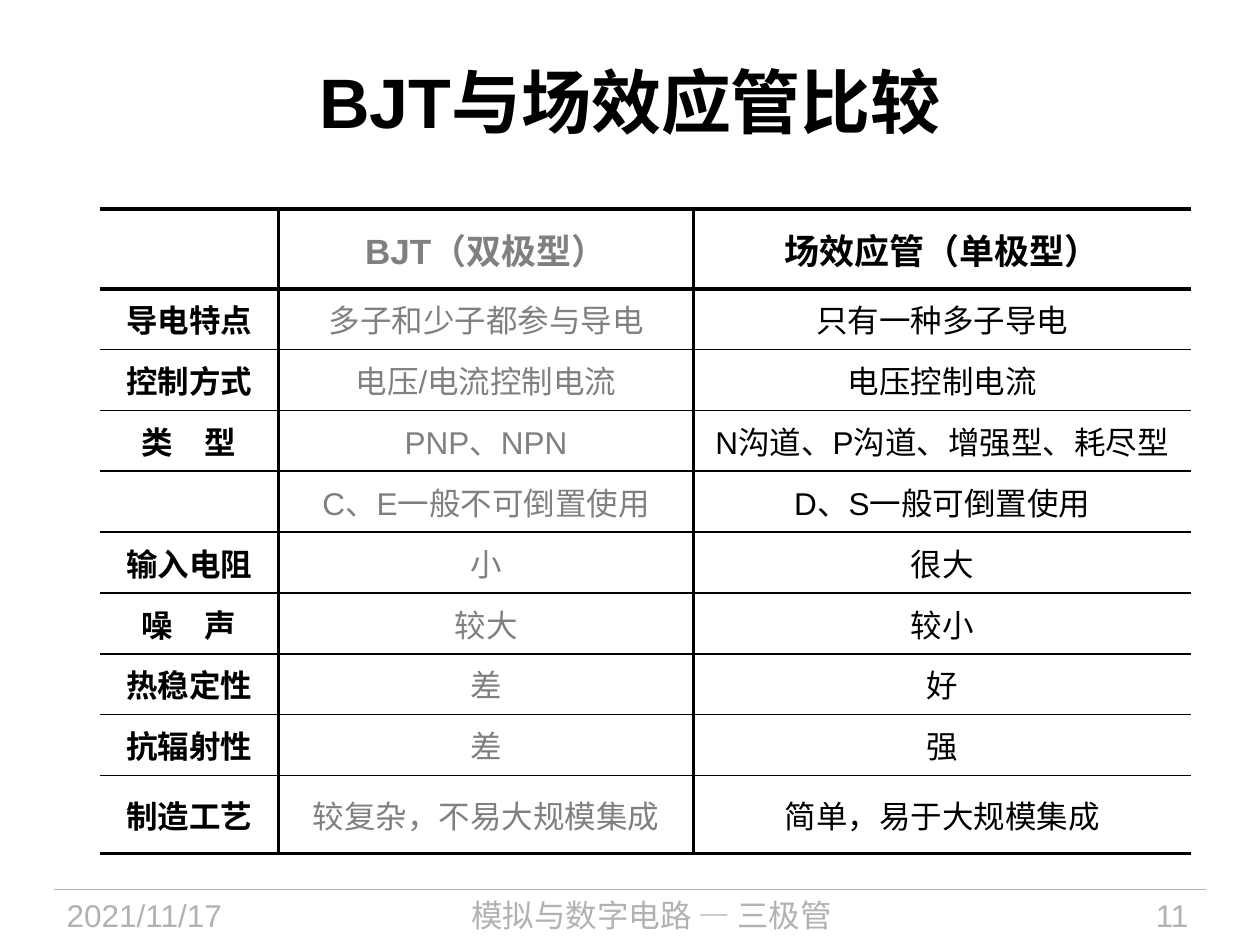
from lxml import etree
from pptx import Presentation
from pptx.dml.color import RGBColor
from pptx.enum import shapes, text
from pptx.oxml.ns import qn
from pptx.util import Pt

BLACK = RGBColor(0x00, 0x00, 0x00)
GRAY = RGBColor(0x80, 0x80, 0x80)
PALE = RGBColor(0xB2, 0xB2, 0xB2)
LEFT, MID, RIGHT = text.PP_ALIGN.LEFT, text.PP_ALIGN.CENTER, text.PP_ALIGN.RIGHT
TOP, CENTER = text.MSO_ANCHOR.TOP, text.MSO_ANCHOR.MIDDLE

TITLE = "BJT与场效应管比较"
ROWS = [
    ("", "BJT（双极型）", "场效应管（单极型）"),
    ("导电特点", "多子和少子都参与导电", "只有一种多子导电"),
    ("控制方式", "电压/电流控制电流", "电压控制电流"),
    ("类　型", "PNP、NPN", "N沟道、P沟道、增强型、耗尽型"),
    ("", "C、E一般不可倒置使用", "D、S一般可倒置使用"),
    ("输入电阻", "小", "很大"),
    ("噪　声", "较大", "较小"),
    ("热稳定性", "差", "好"),
    ("抗辐射性", "差", "强"),
    ("制造工艺", "较复杂，不易大规模集成", "简单，易于大规模集成"),
]
HEAD, BODY, LAST = 45.4, 34.8, 44.6
HEIGHTS = [HEAD] + [BODY] * (len(ROWS) - 2) + [LAST]
WIDTHS = [102.2, 237.3, 284]
COLORS = [BLACK, GRAY, BLACK]
X, Y = 56.9, 119.5
FOOT_Y, FOOT_H = 508.3, 31.7
THICK, THIN = 2.25, 1
FOOTER = [
    (31, 135.4, LEFT, [("2021/11/17", "Arial")]),
    (179.3, 385.9, MID, [("模拟与数字电路 ", "Arial"), ("— ", "Times New Roman"),
                         ("三极管", "Arial")]),
    (590.4, 95.8, RIGHT, [("11", "Arial")]),
]


def style(font, size, color, bold=False, name="Arial"):
    font.size, font.bold, font.name = Pt(size), bold, name
    font.color.rgb = color


def add_text(slide, box, runs, align, anchor, size, color, bold=False):
    frame = slide.shapes.add_textbox(*map(Pt, box)).text_frame
    frame.word_wrap = True
    frame.vertical_anchor = anchor
    para = frame.paragraphs[0]
    para.alignment = align
    for words, name in runs:
        run = para.add_run()
        run.text = words
        style(run.font, size, color, bold, name)


def add_line(slide, x1, x2, y, color, width):
    line = slide.shapes.add_connector(
        shapes.MSO_CONNECTOR.STRAIGHT, Pt(x1), Pt(y), Pt(x2), Pt(y))
    line.line.color.rgb = color
    line.line.width = Pt(width)
    etree.SubElement(line._element.spPr, qn("a:effectLst"))


def set_edges(cell, widths):
    """Draw left, right, top and bottom borders; width 0 means none."""
    props = cell._tc.get_or_add_tcPr()
    for place, (side, width) in enumerate(zip("LRTB", widths)):
        edge = etree.Element(qn("a:ln" + side), w=str(Pt(width)))
        if width:
            fill = etree.SubElement(edge, qn("a:solidFill"))
            etree.SubElement(fill, qn("a:srgbClr"), val=str(BLACK))
        else:
            etree.SubElement(edge, qn("a:noFill"))
        props.insert(place, edge)


def add_grid(slide):
    grid = slide.shapes.add_table(
        len(ROWS), len(WIDTHS), Pt(X), Pt(Y), Pt(sum(WIDTHS)), Pt(sum(HEIGHTS))).table
    grid.first_row = grid.horz_banding = False
    for col, width in zip(grid.columns, WIDTHS):
        col.width = Pt(width)
    for r, (row, height) in enumerate(zip(ROWS, HEIGHTS)):
        grid.rows[r].height = Pt(height)
        for c, words in enumerate(row):
            cell = grid.cell(r, c)
            cell.fill.background()
            cell.vertical_anchor = CENTER
            cell.margin_left = cell.margin_right = 0
            cell.margin_top = cell.margin_bottom = 0
            cell.text = words
            para = cell.text_frame.paragraphs[0]
            para.alignment = MID
            style(para.font, 18 if r else 20, COLORS[c], r == 0 or c == 0)
            set_edges(cell, (THICK if c else 0,
                             THICK if c < len(WIDTHS) - 1 else 0,
                             THIN if r else THICK,
                             THIN if r < len(ROWS) - 1 else THICK))


def main():
    deck = Presentation()
    deck.slide_width, deck.slide_height = Pt(720), Pt(540)
    slide = deck.slides.add_slide(deck.slide_layouts[6])
    add_line(slide, 31, 689, FOOT_Y, PALE, 0.75)
    for x, width, align, runs in FOOTER:
        add_text(slide, (x, FOOT_Y, width, FOOT_H), runs, align, TOP, 18, PALE)
    add_text(slide, (36, 12.2, 648, 90), [(TITLE, "Arial")], MID, CENTER, 40, BLACK, True)
    add_grid(slide)
    add_line(slide, X, X + sum(WIDTHS), Y + HEAD, BLACK, THICK)
    deck.save("out.pptx")


if __name__ == "__main__":
    main()
